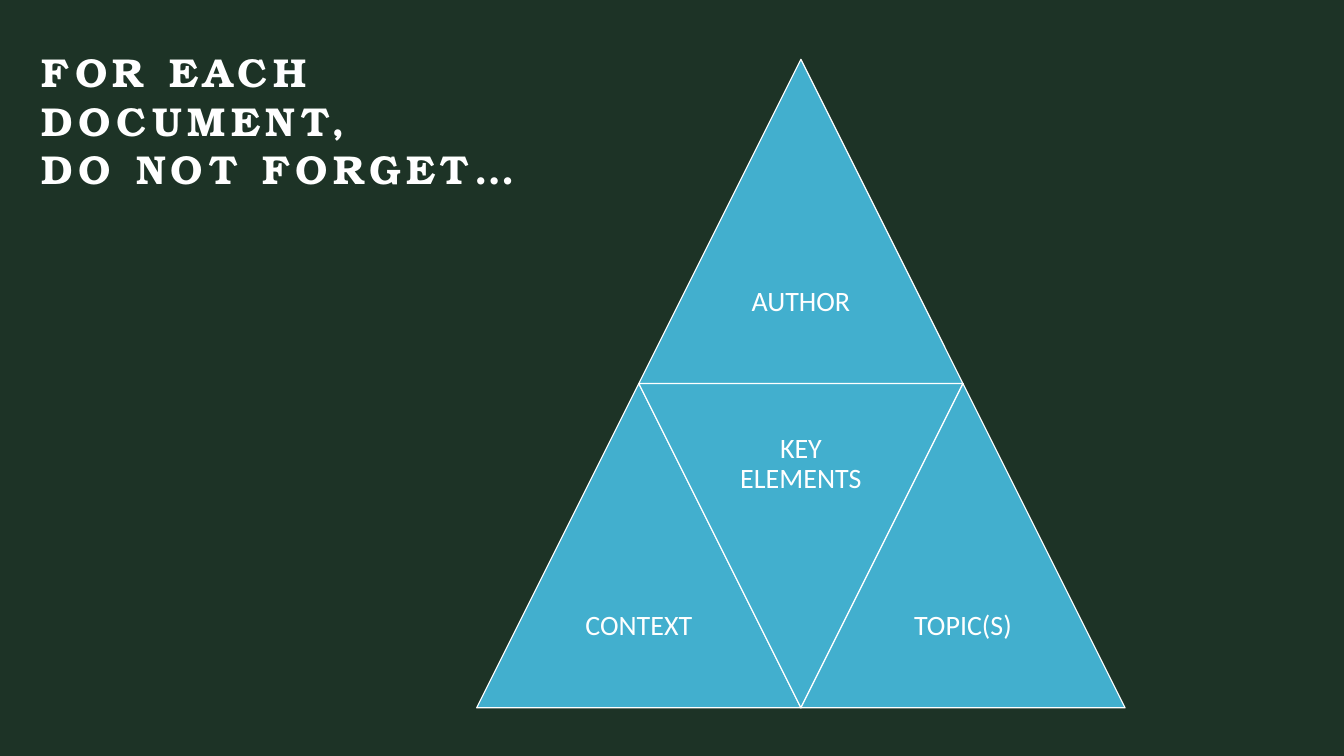
from pptx import Presentation
from pptx.dml.color import RGBColor
from pptx.enum.shapes import MSO_SHAPE
from pptx.enum.text import MSO_ANCHOR, PP_ALIGN
from pptx.util import Pt

TRIANGLE = MSO_SHAPE.ISOSCELES_TRIANGLE
MIDDLE = MSO_ANCHOR.MIDDLE
CENTER = PP_ALIGN.CENTER
BACKGROUND, BLUE, WHITE = "1D3326", "42AFCE", "FFFFFF"


def paint(color_format, color):
    """Set a fill or line fill to a solid colour."""
    color_format.solid()
    color_format.fore_color.rgb = RGBColor.from_string(color)


def add_text(shapes, box, text, font, size, inset=0):
    """Add a wrapped white text box and return its frame."""
    frame = shapes.add_textbox(*map(Pt, box)).text_frame
    frame.word_wrap = True
    frame.margin_left = frame.margin_right = Pt(inset)
    frame.margin_top = frame.margin_bottom = Pt(inset)
    para = frame.paragraphs[0]
    para.text = text
    for span in para.runs:
        span.font.name = font
        span.font.size = Pt(size)
        span.font.color.rgb = RGBColor.from_string(WHITE)
    return frame


def add_title(page, box):
    """Write the bold, letter-spaced title."""
    frame = add_text(page.shapes, box, "FOR EACH DOCUMENT,\vDO NOT FORGET…",
                     "TeX Gyre Bonum", 28.8)
    for span in frame.paragraphs[0].runs:
        span.font.bold = True
        span.font._element.set("spc", "400")


def add_tile(shapes, left, top, side, label, inverted=False):
    """Draw one triangle with its label in the wide half."""
    tile = shapes.add_shape(TRIANGLE, *map(Pt, (left, top, side, side)))
    tile.shadow.inherit = False
    tile.rotation = 180 if inverted else 0
    paint(tile.fill, BLUE)
    paint(tile.line.fill, WHITE)
    tile.line.width = Pt(0.85)
    label_top = top if inverted else top + side / 2
    label_box = (left + side / 4, label_top, side / 2, side / 2)
    frame = add_text(shapes, label_box, label, "Calibri", 20, 6)
    frame.vertical_anchor = MIDDLE
    para = frame.paragraphs[0]
    para.alignment = CENTER
    para.line_spacing = 0.9


def add_pyramid(page, box):
    """Fill a square box with a pyramid of four triangles."""
    left, top, size = box
    side = size / 2
    shapes = page.shapes.add_group_shape().shapes
    add_tile(shapes, left + side / 2, top, side, "AUTHOR")
    add_tile(shapes, left, top + side, side, "CONTEXT")
    add_tile(shapes, left + side / 2, top + side, side, "KEY ELEMENTS", True)
    add_tile(shapes, left + side, top + side, side, "TOPIC(S)")


def main():
    """Build and save the deck."""
    deck = Presentation()
    deck.slide_width, deck.slide_height = Pt(960), Pt(540)
    page = deck.slides.add_slide(deck.slide_layouts[6])
    paint(page.background.fill, BACKGROUND)
    add_title(page, (30, 34, 370, 52))
    add_pyramid(page, (340.5, 42.4, 463.2))
    deck.save("out.pptx")


if __name__ == "__main__":
    main()
